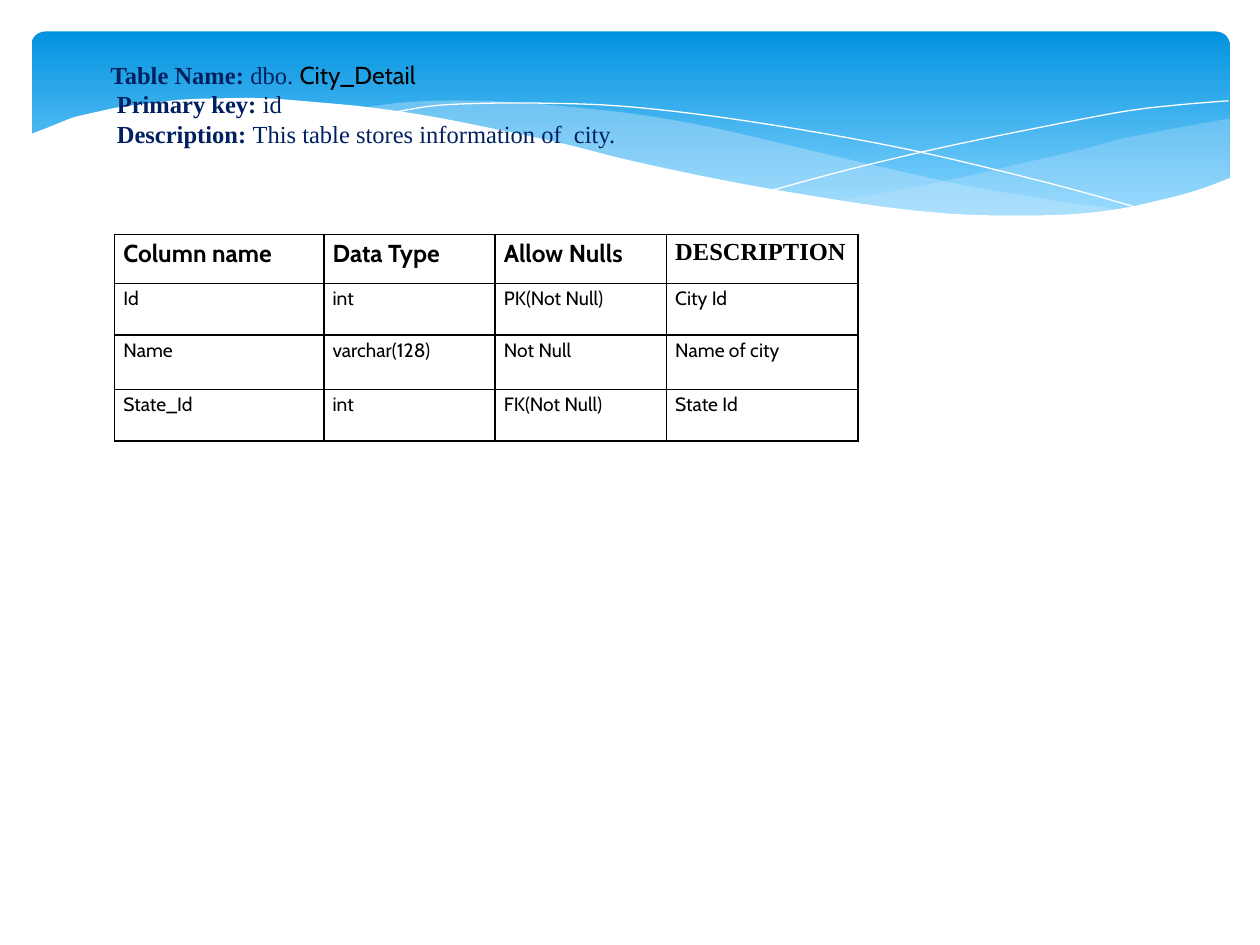
from dataclasses import dataclass

from lxml.etree import SubElement
from pptx import Presentation
from pptx.dml.color import RGBColor
from pptx.enum.shapes import MSO_SHAPE
from pptx.enum.text import MSO_ANCHOR
from pptx.oxml import parse_xml
from pptx.oxml.ns import nsdecls, qn
from pptx.util import Emu, Inches, Pt

WHITE = RGBColor(0xFF, 0xFF, 0xFF)
BLACK = RGBColor(0x00, 0x00, 0x00)
NAVY = RGBColor(0x00, 0x20, 0x60)
SKY = RGBColor(0x02, 0x93, 0xE0)
LIGHT_SKY = RGBColor(0x83, 0xD3, 0xFE)
MIST = RGBColor(0xC6, 0xE7, 0xFC)

SANS, SERIF = "Cabin", "Times New Roman"
COLUMNS, ROWS = 100, 75
CELL = Inches(0.1)
STEPS = 6

Point = tuple[float, float]


@dataclass(frozen=True)
class Wave:
    """Edges are smooth curves through their points, joined by straight lines."""
    edges: list[list[Point]]
    opacity: int = 100
    color: RGBColor = WHITE
    outline_only: bool = False


@dataclass(frozen=True)
class Words:
    text: str
    bold: bool = False
    font: str = SERIF
    color: RGBColor = NAVY


WAVES = [
    Wave([[(97.6, 9.4), (94.8, 9.9), (92.1, 10.4), (89.1, 11), (86.1, 11.8), (80.5, 13.1),
           (75.3, 14.3), (70.6, 15.2), (66.1, 16)],
          [(66.1, 16), (70.5, 16.5), (74.5, 16.9), (79.2, 17.2), (83.5, 17.2), (87.2, 16.9),
           (90.5, 16.3), (93.5, 15.6), (96.3, 14.7), (97.6, 14.1)]], 29, MIST),
    Wave([[(89.3, 16.7), (83.7, 15.9), (77.5, 14.9), (70.6, 13.4), (62.9, 11.6), (56.9, 10.2),
           (51.4, 9.2), (46.5, 8.6), (42, 8.2), (38, 8), (34.4, 8), (31.3, 8.2), (28.6, 8.6)],
          [(28.6, 8.6), (32.3, 9), (36.2, 9.7), (40.4, 10.6), (44.9, 11.6), (53, 13.5),
           (60.1, 15), (66.5, 16.1), (72.2, 16.8), (77.3, 17.2), (81.8, 17.3),
           (85.7, 17.1), (89.3, 16.7)]], 40, MIST),
    Wave([[(30.9, 9), (34.4, 8.4), (38.7, 8.2), (43.3, 8.2), (48.9, 8.4), (55.6, 9.1),
           (63.6, 10.3), (72.7, 12), (83.1, 14.5), (90.7, 16.6)]], outline_only=True),
    Wave([[(61.3, 15.1), (67.2, 13.5), (74.8, 11.7), (83.6, 9.9), (89.5, 8.8),
           (93.8, 8.3), (97.5, 8)]], outline_only=True),
    Wave([[(97.7, 14.1), (95, 15.1), (92, 15.9), (88.7, 16.6), (85, 17), (80.9, 17.1),
           (76.1, 17), (70.8, 16.5), (64.8, 15.6), (57.9, 14.4), (50.3, 12.8), (44.7, 11.4),
           (39.1, 10.2), (34, 9.2), (29.2, 8.5), (25, 8.1), (21.1, 7.8), (17.7, 7.8),
           (14.6, 7.9), (11.9, 8.2), (9.5, 8.5), (7.6, 8.9), (5.9, 9.3), (4.6, 9.8),
           (3.6, 10.2), (2.3, 10.7)],
          [(2.3, 22.4), (97.7, 22.4)]]),
]

HEADING = [
    [Words("Table Name: ", True), Words("dbo. "), Words("City_Detail", False, SANS, BLACK)],
    [Words(" Primary key: ", True), Words("id")],
    [Words(" Description: ", True), Words("This table stores information of  city.")],
]

TABLE_COLUMNS = [16.6, 13.6, 13.6, 15.2]
TABLE_ROWS = [3.9, 4.1, 4.3, 4.1]
TABLE_TEXT = [
    ["Column name", "Data Type", "Allow Nulls", "DESCRIPTION"],
    ["Id", "int", "PK(Not Null)", "City Id"],
    ["Name", "varchar(128)", "Not Null", "Name of city"],
    ["State_Id", "int", "FK(Not Null)", "State Id"],
]


def grid(count: float) -> Emu:
    return Emu(round(count * CELL))


def smooth(knots: list[Point]) -> list[Point]:
    """Sample a Catmull-Rom curve that passes through every knot."""
    if len(knots) < 3:
        return knots
    padded = [knots[0], *knots, knots[-1]]
    points = [knots[0]]
    for a, b, c, d in zip(padded, padded[1:], padded[2:], padded[3:]):
        for step in range(1, STEPS + 1):
            t = step / STEPS
            points.append(tuple(
                q + t / 2 * (r - p + t * (2 * p - 5 * q + 4 * r - s
                                          + t * (3 * (q - r) + s - p)))
                for p, q, r, s in zip(a, b, c, d)))
    return points


def draw_banner(slide) -> None:
    banner = slide.shapes.add_shape(MSO_SHAPE.ROUNDED_RECTANGLE, grid(2.5), grid(2.5),
                                    grid(95.1), grid(15.6))
    banner.shadow.inherit = False
    banner.adjustments[0] = 0.07
    banner.line.fill.background()
    banner.fill.gradient()
    banner.fill.gradient_angle = 270
    for stop, position, color in zip(banner.fill.gradient_stops, (0, 0.9), (SKY, LIGHT_SKY)):
        stop.position = position
        stop.color.rgb = color


def draw_wave(slide, wave: Wave) -> None:
    points = [(grid(x), grid(y)) for edge in wave.edges for x, y in smooth(edge)]
    builder = slide.shapes.build_freeform(*points[0])
    builder.add_line_segments(points[1:], close=not wave.outline_only)
    shape = builder.convert_to_shape()
    shape.shadow.inherit = False
    if wave.outline_only:
        shape.fill.background()
        shape.line.color.rgb = wave.color
        shape.line.width = Pt(0)
        return
    shape.line.fill.background()
    shape.fill.solid()
    shape.fill.fore_color.rgb = wave.color
    if wave.opacity < 100:
        color = shape.fill._xPr.find(f"{qn('a:solidFill')}/{qn('a:srgbClr')}")
        SubElement(color, qn("a:alpha")).set("val", str(wave.opacity * 1000))


def add_borders(cell) -> None:
    properties = cell._tc.get_or_add_tcPr()
    for index, side in enumerate("LRTB"):
        properties.insert(index, parse_xml(
            f'<a:ln{side} {nsdecls("a")} w="12700"><a:solidFill>'
            f'<a:srgbClr val="{BLACK}"/></a:solidFill></a:ln{side}>'))


def fill_cell(cell, text: str, is_header: bool) -> None:
    cell.fill.background()
    add_borders(cell)
    cell.margin_left = cell.margin_right = Inches(0.07)
    cell.margin_top = cell.margin_bottom = 0
    paragraph = cell.text_frame.paragraphs[0]
    paragraph.text = text
    paragraph.line_spacing = 1.15
    paragraph.font.name = SERIF if text == "DESCRIPTION" else SANS
    paragraph.font.size = Pt(14 if is_header else 11)
    paragraph.font.bold = is_header
    paragraph.font.color.rgb = BLACK


def draw_table(slide) -> None:
    table = slide.shapes.add_table(len(TABLE_ROWS), len(TABLE_COLUMNS), grid(9.1), grid(18.6),
                                   grid(sum(TABLE_COLUMNS)), grid(sum(TABLE_ROWS))).table
    for column, width in zip(table.columns, TABLE_COLUMNS):
        column.width = grid(width)
    for row_index, (row, height) in enumerate(zip(table.rows, TABLE_ROWS)):
        row.height = grid(height)
        for cell, text in zip(row.cells, TABLE_TEXT[row_index]):
            fill_cell(cell, text, row_index == 0)


def draw_heading(slide) -> None:
    frame = slide.shapes.add_textbox(grid(5.3), grid(4.2), grid(82.5), grid(8.1)).text_frame
    frame.word_wrap = True
    frame.vertical_anchor = MSO_ANCHOR.MIDDLE
    for index, line in enumerate(HEADING):
        paragraph = frame.add_paragraph() if index else frame.paragraphs[0]
        paragraph._p.get_or_add_pPr().set("indent", str(grid(2.5)))
        paragraph.font.size = Pt(14)
        for words in line:
            run = paragraph.add_run()
            run.text = words.text
            run.font.bold = words.bold
            run.font.name = words.font
            run.font.color.rgb = words.color


def main() -> None:
    presentation = Presentation()
    presentation.slide_width, presentation.slide_height = grid(COLUMNS), grid(ROWS)
    slide = presentation.slides.add_slide(presentation.slide_layouts[6])
    draw_banner(slide)
    for wave in WAVES:
        draw_wave(slide, wave)
    draw_table(slide)
    draw_heading(slide)
    presentation.save("out.pptx")


if __name__ == "__main__":
    main()
